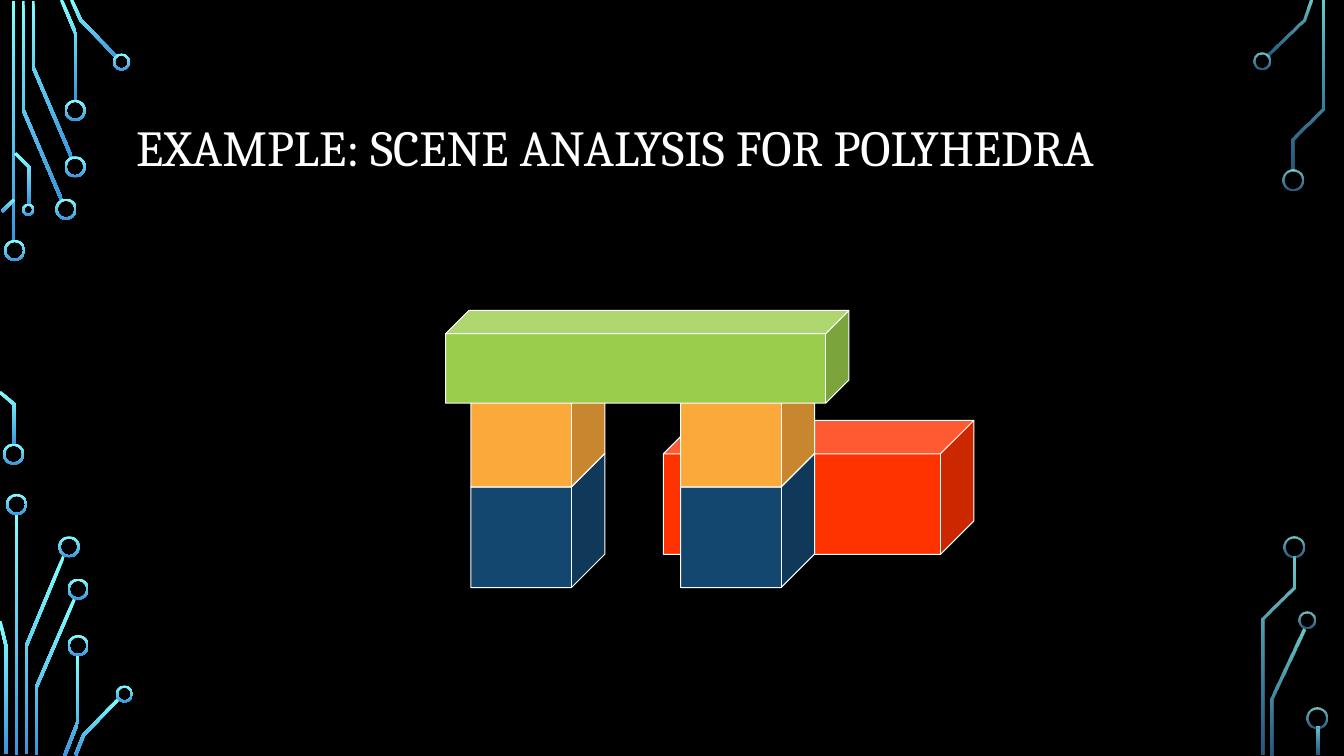
import math
from dataclasses import dataclass

from lxml import etree
from pptx import Presentation
from pptx.dml.color import RGBColor
from pptx.enum.shapes import MSO_SHAPE
from pptx.enum.text import MSO_ANCHOR, MSO_AUTO_SIZE, PP_ALIGN
from pptx.oxml.ns import qn
from pptx.util import Inches, Pt

RECT, RING, CUBE = MSO_SHAPE.RECTANGLE, MSO_SHAPE.DONUT, MSO_SHAPE.CUBE
LEFT, MIDDLE, NO_FIT = PP_ALIGN.LEFT, MSO_ANCHOR.MIDDLE, MSO_AUTO_SIZE.NONE


@dataclass(frozen=True)
class Theme:
    background: str = "000000"
    text: str = "FFFFFF"
    glow: tuple = ("82FFFF", "3B95DE")
    red: str = "FF3300"
    blue: str = "134770"
    orange: str = "FAA93A"
    green: str = "9ACD4C"
    font: str = "Cambria"
    title_size: int = 36
    edge: float = 0.75
    wire: float = 0.03
    ring: float = 0.02


def band(points, width):
    """Outline of a mitred band that follows a centre line."""
    normals = []
    for (x1, y1), (x2, y2) in zip(points, points[1:]):
        length = math.hypot(x2 - x1, y2 - y1)
        normals.append(((y1 - y2) / length, (x2 - x1) / length))
    one_side, other_side = [], []
    for (x, y), (ax, ay), (bx, by) in zip(points, normals[:1] + normals, normals + normals[-1:]):
        reach = width / 2 / (1 + ax * bx + ay * by)
        dx, dy = (ax + bx) * reach, (ay + by) * reach
        one_side.append((x + dx, y + dy))
        other_side.append((x - dx, y - dy))
    return one_side + other_side[::-1]


class Deck:
    def __init__(self, theme):
        self.theme = theme
        self.prs = Presentation()
        self.prs.slide_width, self.prs.slide_height = Inches(13.33), Inches(7.5)
        self.slide = self.prs.slides.add_slide(self.prs.slide_layouts[5])
        fill = self.slide.background.fill
        fill.solid()
        fill.fore_color.rgb = RGBColor.from_string(theme.background)

    def title(self, text, left, top, width, height):
        sp = self.slide.shapes.title
        sp.left, sp.top, sp.width, sp.height = map(Inches, (left, top, width, height))
        tf = sp.text_frame
        tf.text = text
        tf.word_wrap, tf.auto_size, tf.vertical_anchor = True, NO_FIT, MIDDLE
        p = tf.paragraphs[0]
        p.alignment, p.line_spacing = LEFT, 0.9
        p.font.name, p.font.size = self.theme.font, Pt(self.theme.title_size)
        p.font.color.rgb = RGBColor.from_string(self.theme.text)

    def shape(self, kind, left, top, width, height):
        sp = self.slide.shapes.add_shape(kind, *map(Inches, (left, top, width, height)))
        sp.shadow.inherit = False
        return sp

    def glow(self, sp, opacity):
        sp.shadow.inherit = False
        sp.line.fill.background()
        sp.fill.gradient()
        sp.fill.gradient_angle = 270
        for stop, color in zip(sp.fill.gradient_stops, self.theme.glow):
            stop.color.rgb = RGBColor.from_string(color)
        for color, percent in zip(sp._element.spPr.iter(qn("a:srgbClr")), opacity):
            if percent < 100:
                etree.SubElement(color, qn("a:alpha"), val=str(percent * 1000))

    def rail(self, left, top, height, opacity):
        self.glow(self.shape(RECT, left, top, self.theme.wire, height), opacity)

    def wire(self, points, opacity):
        outline = [(Inches(x), Inches(y)) for x, y in band(points, self.theme.wire)]
        builder = self.slide.shapes.build_freeform(*outline[0])
        builder.add_line_segments(outline[1:], close=True)
        self.glow(builder.convert_to_shape(), opacity)

    def ring(self, left, top, size, opacity):
        sp = self.shape(RING, left, top, size, size)
        sp.adjustments[0] = self.theme.ring / size
        self.glow(sp, opacity)

    def cube(self, left, top, width, height, color):
        sp = self.shape(CUBE, left, top, width, height)
        sp.adjustments[0] = 0.25
        sp.fill.solid()
        sp.fill.fore_color.rgb = RGBColor.from_string(color)
        sp.line.color.rgb = RGBColor.from_string(self.theme.text)
        sp.line.width = Pt(self.theme.edge)


# Circuit traces on each side: opacity, rails, wires, rings
LEFT_CIRCUIT = (
    (100, 100),
    [(0.12, 0.01, 2.39), (0.15, 5.1, 2.39)],
    [
        [(0.23, 0.01), (0.23, 1.09), (0.61, 1.98)],
        [(0.33, 0.01), (0.33, 0.67), (0.71, 1.56)],
        [(0.61, 0), (0.75, 0.33), (0.75, 1)],
        [(0.71, 0), (0.8, 0.2), (1.16, 0.57)],
        [(0.02, 2.1), (0.14, 1.98)],
        [(0.15, 1.52), (0.29, 1.66), (0.29, 2.03)],
        [(0, 3.89), (0.14, 4.01), (0.14, 4.41)],
        [(0, 6.16), (0.06, 6.41), (0.06, 7.48)],
        [(0.26, 7.48), (0.26, 6.41), (0.63, 5.52)],
        [(0.36, 7.49), (0.36, 6.82), (0.74, 5.94)],
        [(0.64, 7.5), (0.77, 7.17), (0.77, 6.5)],
        [(0.75, 7.49), (0.83, 7.29), (1.18, 6.93)],
    ],
    [
        (0.04, 2.38, 0.21), (0.03, 4.4, 0.21), (0.55, 1.97, 0.21), (0.64, 1.55, 0.21),
        (0.64, 0.99, 0.21), (1.12, 0.53, 0.17), (0.22, 2.02, 0.12), (0.06, 4.9, 0.21),
        (0.58, 5.32, 0.21), (0.67, 5.74, 0.21), (0.67, 6.3, 0.21), (1.15, 6.8, 0.17),
    ],
)
RIGHT_CIRCUIT = (
    (80, 60),
    [(13.06, 7.21, 0.28)],
    [
        [(12.57, 0.55), (12.93, 0.2), (13, 0)],
        [(12.82, 1.69), (12.82, 1.38), (13.12, 1.08), (13.12, 0.01)],
        [(12.53, 7.49), (12.53, 6.14), (12.83, 5.83), (12.83, 5.52)],
        [(12.62, 7.49), (12.62, 6.93), (12.93, 6.24)],
    ],
    [
        (12.43, 0.52, 0.17), (12.72, 1.68, 0.21), (12.88, 6.07, 0.17),
        (12.73, 5.32, 0.21), (12.96, 7.02, 0.21),
    ],
)


def main():
    theme = Theme()
    deck = Deck(theme)

    # Circuit decoration
    for opacity, rails, wires, rings in (LEFT_CIRCUIT, RIGHT_CIRCUIT):
        for rail in rails:
            deck.rail(*rail, opacity)
        for points in wires:
            deck.wire(points, opacity)
        for ring in rings:
            deck.ring(*ring, opacity)

    # Title
    deck.title("EXAMPLE: SCENE ANALYSIS FOR POLYHEDRA", 1.25, 0.68, 10.83, 1.62)

    # Block behind, two stacked pillars, beam on top
    deck.cube(6.58, 4.17, 3.08, 1.33, theme.red)
    for left in (4.67, 6.75):
        for top, color in ((4.5, theme.blue), (3.5, theme.orange)):
            deck.cube(left, top, 1.33, 1.33, color)
    deck.cube(4.42, 3.08, 4, 0.92, theme.green)

    deck.prs.save("out.pptx")


if __name__ == "__main__":
    main()
